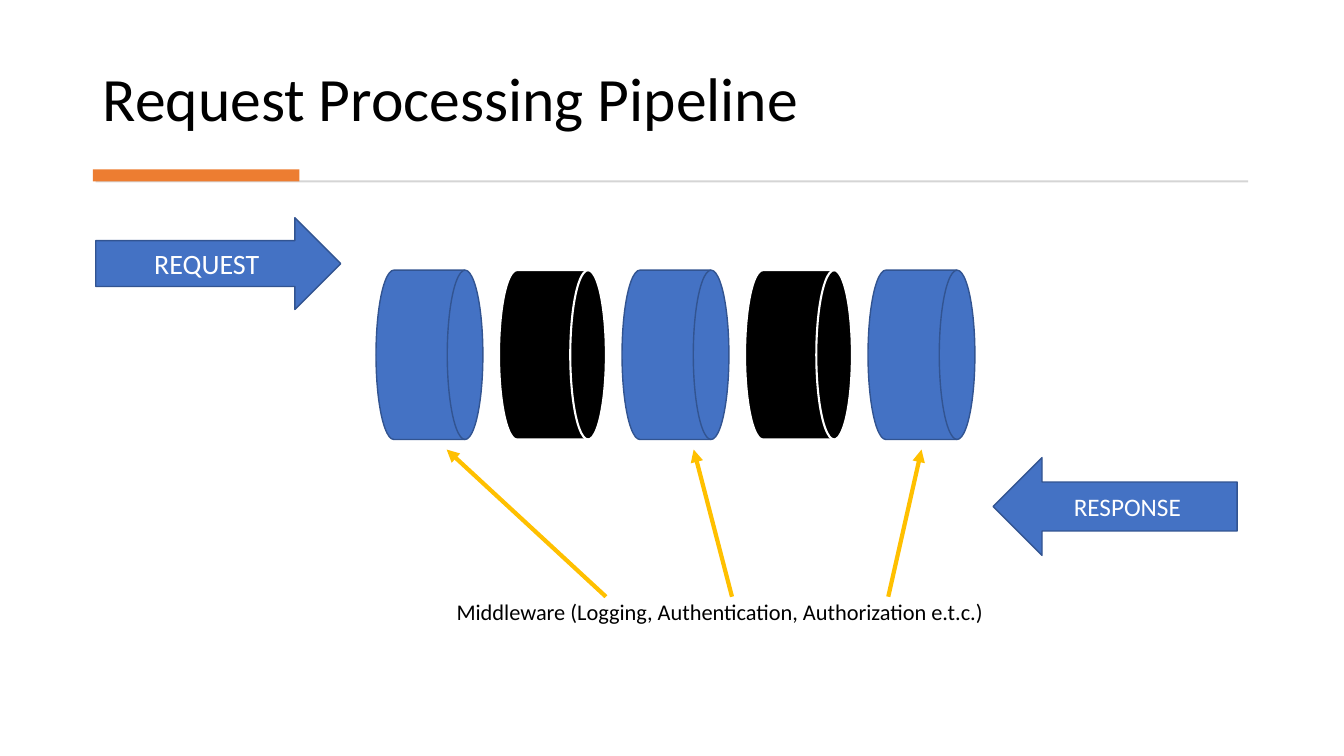
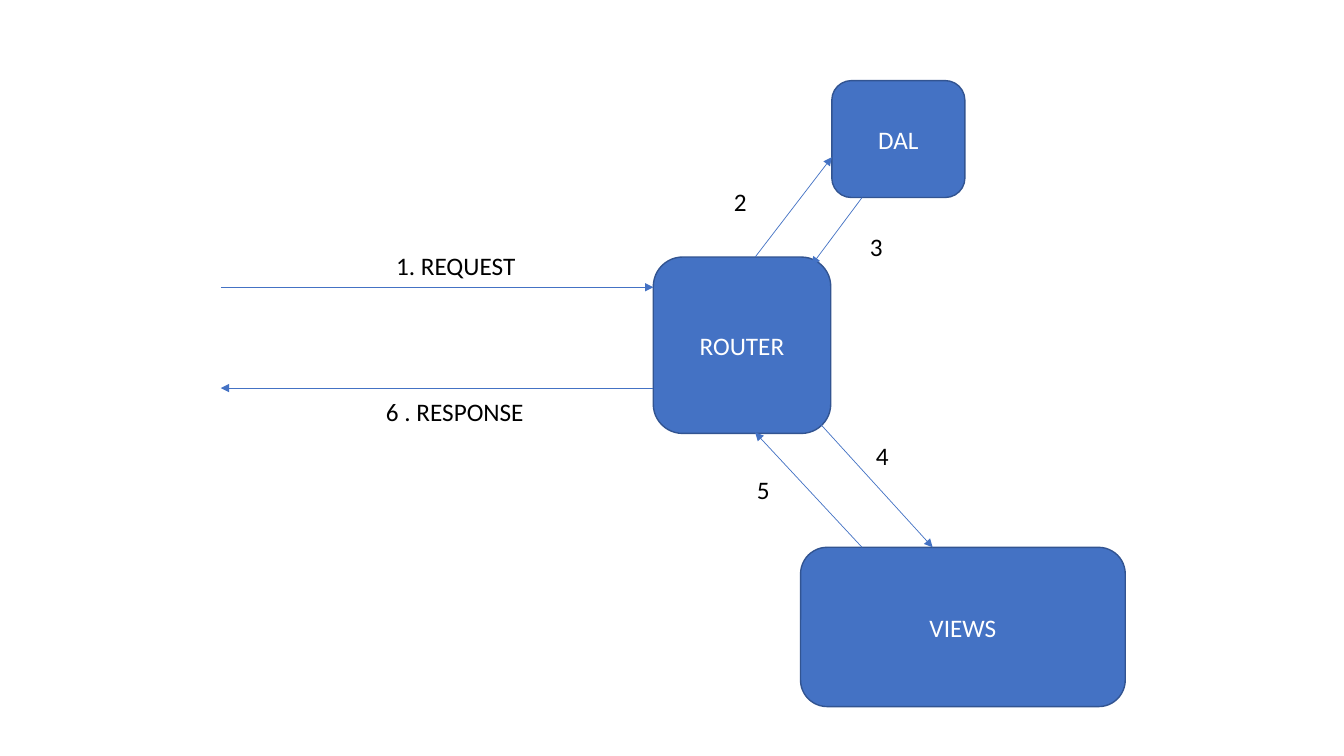
from dataclasses import dataclass

import pptx
import pptx.dml.color
import pptx.enum.shapes
import pptx.enum.text
import pptx.oxml.ns
import pptx.shapes.autoshape
import pptx.shapes.base
import pptx.slide
import pptx.util
from lxml import etree

Inches = pptx.util.Inches
Shape = pptx.enum.shapes.MSO_SHAPE
Align = pptx.enum.text.PP_ALIGN
Anchor = pptx.enum.text.MSO_ANCHOR

FONT = "Calibri"
BLUE, DARK_BLUE, ORANGE, GOLD = "4472C4", "325491", "ED7D31", "FFC000"
BLACK, WHITE, GREY = "000000", "FFFFFF", "D5D5D5"


@dataclass(frozen=True)
class Area:
    """A rectangle on the slide, in inches."""
    left: float
    top: float
    width: float
    height: float

    def lengths(self) -> tuple[int, int, int, int]:
        return (Inches(self.left), Inches(self.top),
                Inches(self.width), Inches(self.height))


@dataclass(frozen=True)
class Arrow:
    """A straight arrow between two points, in inches."""
    start: tuple[float, float]
    end: tuple[float, float]


@dataclass(frozen=True)
class Label:
    text: str
    area: Area


def color(value: str) -> pptx.dml.color.RGBColor:
    return pptx.dml.color.RGBColor.from_string(value)


def write_text(box: pptx.shapes.autoshape.Shape, text: str, *, size: float = 18,
               ink: str = BLACK, align: Align = Align.LEFT,
               anchor: Anchor = Anchor.TOP, wrap: bool = True,
               line_spacing: float = 1.0) -> None:
    frame = box.text_frame
    frame.word_wrap = wrap
    frame.vertical_anchor = anchor
    para = frame.paragraphs[0]
    para.alignment = align
    para.line_spacing = line_spacing
    span = para.add_run()
    span.text = text
    span.font.name = FONT
    span.font.size = pptx.util.Pt(size)
    span.font.color.rgb = color(ink)


def add_text(page: pptx.slide.Slide, text: str, area: Area, **style) -> None:
    write_text(page.shapes.add_textbox(*area.lengths()), text, **style)


def add_block(page: pptx.slide.Slide, kind: Shape, area: Area, *,
              fill: str = BLUE, outline: str | None = DARK_BLUE,
              weight: float = 1, text: str = "", size: float = 18) -> None:
    """Draw a filled preset shape with optional centred white text."""
    block = page.shapes.add_shape(kind, *area.lengths())
    block.shadow.inherit = False
    block.fill.solid()
    block.fill.fore_color.rgb = color(fill)
    if outline:
        block.line.color.rgb = color(outline)
        block.line.width = pptx.util.Pt(weight)
    else:
        block.line.fill.background()
    if text:
        write_text(block, text, size=size, ink=WHITE,
                   align=Align.CENTER, anchor=Anchor.MIDDLE)


def add_arrow(page: pptx.slide.Slide, arrow: Arrow, *,
              ink: str = BLUE, weight: float = 0.5) -> None:
    points = [Inches(value) for value in (*arrow.start, *arrow.end)]
    connector = page.shapes.add_connector(
        pptx.enum.shapes.MSO_CONNECTOR.STRAIGHT, *points)
    connector.line.color.rgb = color(ink)
    connector.line.width = pptx.util.Pt(weight)
    qualified = pptx.oxml.ns.qn
    properties = connector._element.spPr
    etree.SubElement(properties.find(qualified("a:ln")),
                     qualified("a:tailEnd"), type="triangle")
    etree.SubElement(properties, qualified("a:effectLst"))


def add_title(page: pptx.slide.Slide, text: str) -> None:
    """Draw the title with its thin rule and accent bar."""
    add_text(page, text, Area(0.92, 0.28, 11.49, 1.11), size=44,
             anchor=Anchor.BOTTOM, line_spacing=0.9)
    add_block(page, Shape.RECTANGLE, Area(0.95, 1.79, 11.43, 0.02),
              fill=GREY, outline=None)
    add_block(page, Shape.RECTANGLE, Area(0.92, 1.68, 2.05, 0.12),
              fill=ORANGE, outline=None)


def build_pipeline(page: pptx.slide.Slide) -> None:
    add_title(page, "Request Processing Pipeline")
    add_block(page, Shape.RIGHT_ARROW, Area(0.95, 2.16, 2.43, 0.91),
              text="REQUEST", size=20)

    drum_left, drum_step = 3.73, 1.22
    blue_drum = dict(fill=BLUE, outline=DARK_BLUE, weight=1)
    black_drum = dict(fill=BLACK, outline=WHITE, weight=1.5)
    for index in range(5):
        add_block(page, Shape.FLOWCHART_DIRECT_ACCESS_STORAGE,
                  Area(drum_left + index * drum_step, 2.68, 1.06, 1.68),
                  **(black_drum if index % 2 else blue_drum))

    add_text(page, "Middleware (Logging, Authentication, Authorization e.t.c.)",
             Area(4.43, 5.92, 5.66, 0.37), size=16, line_spacing=0.9)
    for start, end in ((6.01, 4.43), (7.26, 6.88), (8.81, 9.14)):
        add_arrow(page, Arrow((start, 5.92), (end, 4.46)), ink=GOLD, weight=3)
    add_block(page, Shape.LEFT_ARROW, Area(9.85, 4.54, 2.42, 0.97),
              text="RESPONSE")


def build_routing(page: pptx.slide.Slide) -> None:
    components = (
        Label("ROUTER", Area(6.48, 2.55, 1.76, 1.75)),
        Label("DAL", Area(8.25, 0.8, 1.32, 1.16)),
        Label("VIEWS", Area(7.94, 5.43, 3.22, 1.58)),
    )
    arrows = (
        Arrow((2.19, 2.85), (6.48, 2.85)),
        Arrow((7.49, 2.55), (8.25, 1.56)),
        Arrow((8.55, 1.96), (8.05, 2.63)),
        Arrow((8.14, 4.21), (9.25, 5.43)),
        Arrow((8.55, 5.43), (7.49, 4.29)),
        Arrow((6.48, 3.85), (2.19, 3.85)),
    )
    steps = (
        Label("1. REQUEST", Area(3.83, 2.43, 1.39, 0.4)),
        Label("2", Area(7.18, 1.8, 0.33, 0.4)),
        Label("3", Area(8.53, 2.25, 0.33, 0.4)),
        Label("4", Area(8.59, 4.32, 0.33, 0.4)),
        Label("5", Area(7.41, 4.66, 0.33, 0.4)),
        Label("6 . RESPONSE", Area(3.73, 3.88, 1.58, 0.4)),
    )
    for component in components:
        add_block(page, Shape.ROUNDED_RECTANGLE, component.area,
                  text=component.text)
    for arrow in arrows:
        add_arrow(page, arrow)
    for step in steps:
        add_text(page, step.text, step.area, wrap=False)


def main() -> None:
    deck = pptx.Presentation()
    deck.slide_width, deck.slide_height = Inches(13.33), Inches(7.5)
    blank_layout = deck.slide_layouts[6]
    for build in (build_pipeline, build_routing):
        build(deck.slides.add_slide(blank_layout))
    deck.save("out.pptx")


if __name__ == "__main__":
    main()
